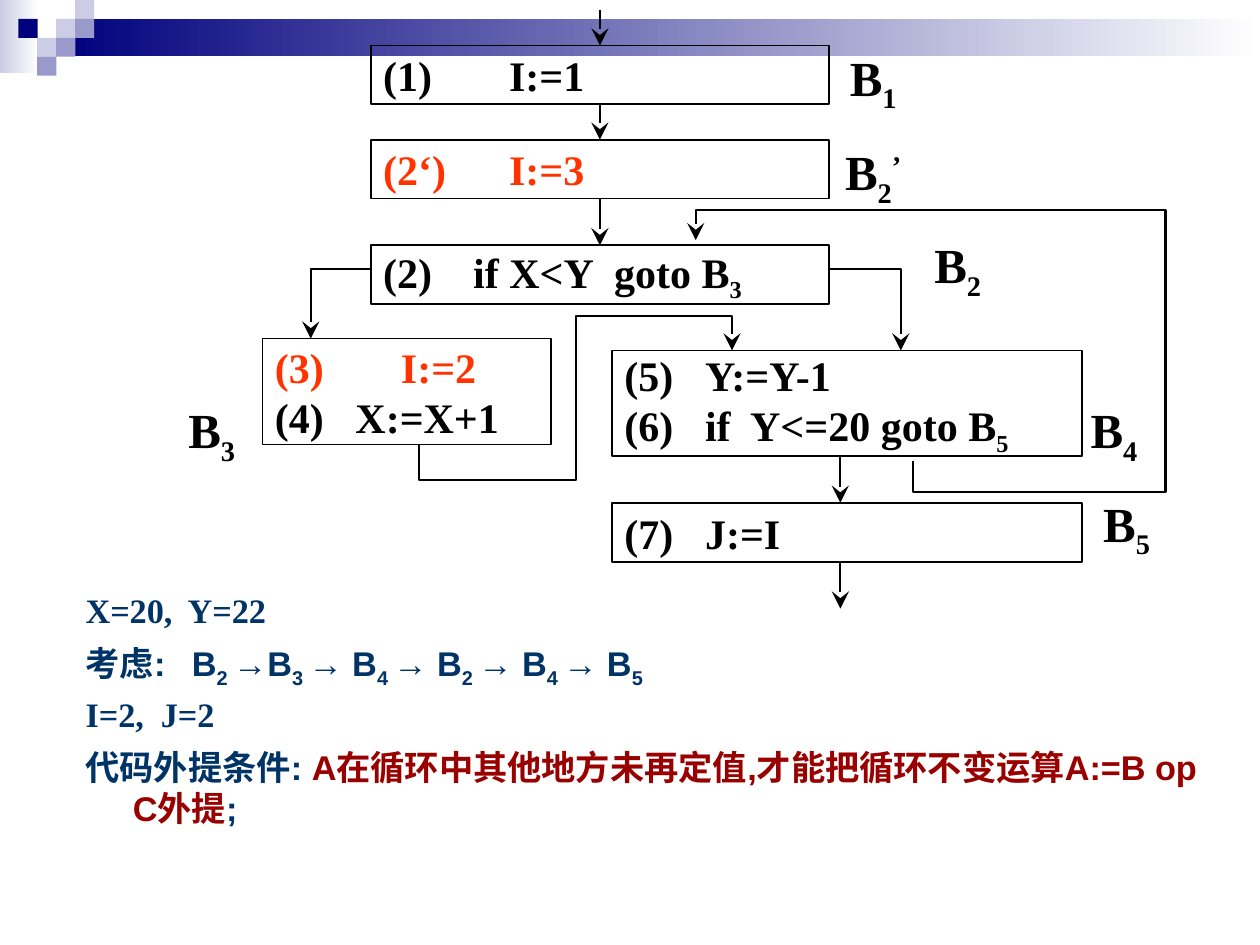
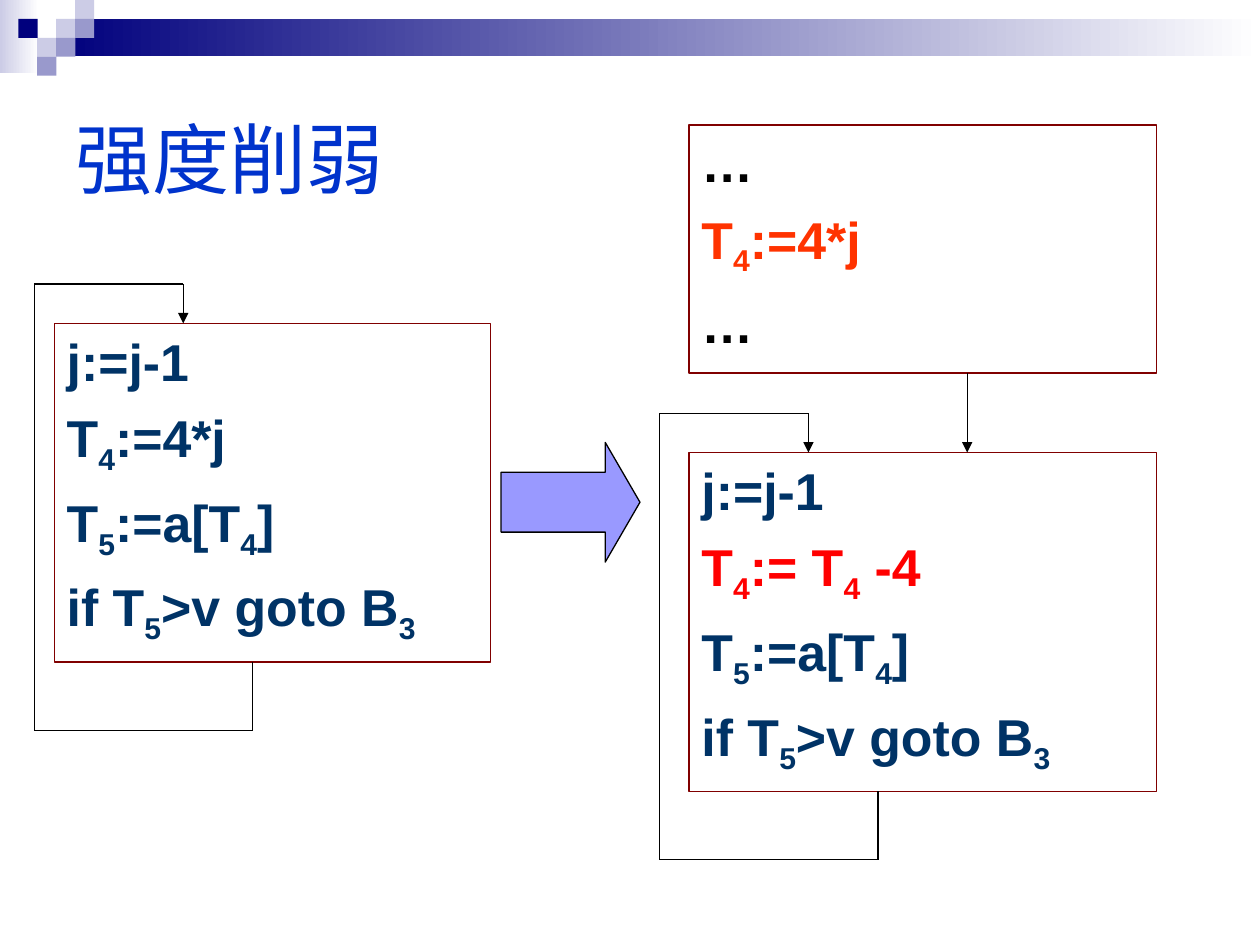
from dataclasses import dataclass
from itertools import pairwise
from typing import Optional, Sequence

from lxml.etree import SubElement
from pptx import Presentation
from pptx.dml.color import RGBColor
from pptx.enum.shapes import MSO_CONNECTOR as Link, MSO_SHAPE as Preset
from pptx.enum.text import MSO_ANCHOR as Anchor, PP_ALIGN as Align
from pptx.oxml.ns import qn
from pptx.shapes.autoshape import Shape
from pptx.shapes.connector import Connector
from pptx.slide import Slide
from pptx.util import Pt

BLACK = RGBColor(0x00, 0x00, 0x00)
WHITE = RGBColor(0xFF, 0xFF, 0xFF)
NAVY = RGBColor(0x00, 0x00, 0x7D)
LAVENDER = RGBColor(0xCC, 0xCC, 0xE6)
PERIWINKLE = RGBColor(0x99, 0x99, 0xCC)
ARROW_BLUE = RGBColor(0x99, 0x99, 0xFF)
TITLE_BLUE = RGBColor(0x00, 0x33, 0xCC)
TEXT_BLUE = RGBColor(0x00, 0x33, 0x66)
ORANGE = RGBColor(0xFF, 0x33, 0x00)
RED = RGBColor(0xFF, 0x00, 0x00)
DARK_RED = RGBColor(0x99, 0x00, 0x00)
MAROON = RGBColor(0x80, 0x00, 0x00)
SERIF, SANS = "Times New Roman", "Arial"

Point = tuple[float, float]


@dataclass(frozen=True)
class Area:
    left: float
    top: float
    width: float
    height: float

    def lengths(self) -> list[Pt]:
        return [Pt(n) for n in (self.left, self.top, self.width, self.height)]


@dataclass(frozen=True)
class Line:
    text: str
    colour: RGBColor = BLACK
    tabs: Sequence[float] = ()
    font: Optional[str] = None
    spacing: Optional[float] = None
    hanging: float = 0
    more: Sequence[tuple[str, RGBColor]] = ()


@dataclass(frozen=True)
class Block:
    area: Area
    lines: Sequence[Line]
    label: str
    label_at: Point


@dataclass(frozen=True)
class Tile:
    column: int
    row: int
    colour: RGBColor


TILE = 10.8
TILES = (
    Tile(2, 1, LAVENDER), Tile(3, 0, LAVENDER), Tile(3, 1, PERIWINKLE),
    Tile(1, 2, LAVENDER), Tile(0, 1, NAVY), Tile(2, 2, PERIWINKLE),
    Tile(1, 3, PERIWINKLE),
)

BLOCKS = (
    Block(Area(211.8, 26, 262, 33.6), [Line("(1)\tI:=1", tabs=[72])], "B~1", (480.2, 26)),
    Block(Area(211.8, 79.8, 262, 33.6), [Line("(2‘)\tI:=3", ORANGE, [72])],
          "B~2~~^’", (480.2, 80)),
    Block(Area(211.8, 140.2, 262, 33.6),
          [Line("(2)\tif X<Y\tgoto B~3", tabs=[51.5, 132])], "B~2", (528.5, 133.2)),
    Block(Area(150, 193.5, 165, 60.5),
          [Line("(3)\tI:=2", ORANGE, [72]), Line("(4)\tX:=X+1", tabs=[46])],
          "B~3", (102.2, 227.5)),
    Block(Area(349.8, 200.3, 268.5, 60.5),
          [Line("(5)\tY:=Y-1", tabs=[46]),
           Line("(6)\tif\tY<=20 goto B~5", tabs=[46, 71.8])], "B~4", (617.8, 227.5)),
    Block(Area(349.8, 287.3, 268.5, 33.8), [Line("(7)\tJ:=I", tabs=[46])],
          "B~5", (625, 280.8)),
)

JUMPS = (
    [(211.8, 153.5), (177.6, 153.5), (177.6, 193.5)],
    [(473.8, 153.5), (514.8, 153.5), (514.8, 200.3)],
    [(521.5, 263.3), (521.5, 281), (666, 281), (666, 120), (397.6, 120), (397.6, 137.3)],
    [(239.5, 254), (239.5, 274.2), (329, 274.2), (329, 180.5), (418.3, 180.5),
     (418.3, 200.3)],
)

NOTES = (
    Line("X=20,\tY=22", TEXT_BLUE, [58.3], spacing=0.8),
    Line("考虑:\tB~2 ~→B~3 ~→ B~4 ~→ B~2 ~→ B~4 ~→ B~5", TEXT_BLUE, [60.8], SANS),
    Line("I=2,\tJ=2", TEXT_BLUE, [43], spacing=0.8),
    Line("代码外提条件: ", TEXT_BLUE, font=SANS, hanging=27,
         more=[("A在循环中其他地方未再定值,才能把循环不变运算A:=B op C外提", DARK_RED),
               (";", TEXT_BLUE)]),
)


def loop_body(product: str, colour: RGBColor) -> list[Line]:
    return [Line("j:=j-1", TEXT_BLUE), Line(product, colour),
            Line("T~5~:=a[T~4~]", TEXT_BLUE), Line("if T~5~>v goto B~3", TEXT_BLUE)]


def write(shape: Shape, lines: Sequence[Line], *, size: float, font: str = SERIF,
          bold: bool = True, align: Align = Align.LEFT, anchor: Anchor = Anchor.MIDDLE,
          before: float = 0, side: float = 7.2) -> None:
    frame = shape.text_frame
    frame.word_wrap = True
    frame.vertical_anchor = anchor
    frame.margin_left = frame.margin_right = Pt(side)
    frame.margin_top = frame.margin_bottom = Pt(3.6)
    for index, line in enumerate(lines):
        paragraph = frame.add_paragraph() if index else frame.paragraphs[0]
        properties = paragraph._p.get_or_add_pPr()
        if line.hanging:
            properties.set("marL", str(Pt(line.hanging)))
            properties.set("indent", str(-Pt(line.hanging)))
        if line.tabs:
            stops = SubElement(properties, qn("a:tabLst"))
            for stop in line.tabs:
                SubElement(stops, qn("a:tab"), pos=str(Pt(stop)), algn="l")
        paragraph.alignment = align
        if line.spacing:
            paragraph.line_spacing = line.spacing
        if index and before:
            paragraph.space_before = Pt(before)
        for text, colour in [(line.text, line.colour), *line.more]:
            for position, part in enumerate(text.split("~")):
                if not part:
                    continue
                run = paragraph.add_run()
                run.text = part.lstrip("^")
                run.font.size, run.font.bold = Pt(size), bold
                run.font.name = line.font or font
                run.font.color.rgb = colour
                if position % 2:
                    baseline = "30000" if part.startswith("^") else "-25000"
                    run._r.get_or_add_rPr().set("baseline", baseline)


def add_preset(slide: Slide, area: Area, *, kind: Preset = Preset.RECTANGLE,
               fill: Optional[RGBColor] = None, fade: bool = False,
               outline: Optional[RGBColor] = None, weight: float = 0.75) -> Shape:
    shape = slide.shapes.add_shape(kind, *area.lengths())
    shape.shadow.inherit = False
    if fade:
        shape.fill.gradient()
        shape.fill.gradient_angle = 0
        for stop, colour in zip(shape.fill.gradient_stops, (fill, WHITE)):
            stop.color.rgb = colour
    elif fill is not None:
        shape.fill.solid()
        shape.fill.fore_color.rgb = fill
    else:
        shape.fill.background()
    if outline is None:
        shape.line.fill.background()
    else:
        shape.line.color.rgb = outline
        shape.line.width = Pt(weight)
    return shape


def add_text(slide: Slide, area: Area, lines: Sequence[Line], **style) -> None:
    write(slide.shapes.add_textbox(*area.lengths()), lines, **style)


def ink(stroke: Shape | Connector, weight: float, head: Optional[str]) -> None:
    stroke.line.color.rgb = BLACK
    stroke.line.width = Pt(weight)
    if head:
        extent = "lg" if head == "stealth" else "med"
        SubElement(stroke.element.spPr.get_or_add_ln(), qn("a:tailEnd"),
                   type=head, w=extent, len=extent)


def add_link(slide: Slide, start: Point, end: Point, *, weight: float = 0.75,
             head: Optional[str] = None) -> Connector:
    ends = [Pt(n) for n in (*start, *end)]
    link = slide.shapes.add_connector(Link.STRAIGHT, *ends)
    ink(link, weight, head)
    SubElement(link.element.spPr, qn("a:effectLst"))
    return link


def add_jump(slide: Slide, route: Sequence[Point]) -> None:
    start, *rest = [(Pt(x), Pt(y)) for x, y in route]
    builder = slide.shapes.build_freeform(*start)
    builder.add_line_segments(rest, close=False)
    jump = builder.convert_to_shape()
    jump.shadow.inherit = False
    jump.fill.background()
    ink(jump, 1.25, "stealth")


def add_loop(slide: Slide, left: float, box: Area) -> None:
    top, bottom = box.top - 22.5, box.top + box.height + 39
    route = [(left + 124.7, box.top + box.height), (left + 124.7, bottom),
             (left, bottom), (left, top), (left + 85, top), (left + 85, box.top)]
    for start, end in pairwise(route):
        add_link(slide, start, end, head="triangle" if end == route[-1] else None)


def add_band(slide: Slide) -> None:
    add_preset(slide, Area(0, 0, 22.3, 41.8), fill=LAVENDER, fade=True)
    add_preset(slide, Area(32.4, 10.8, 687.6, 21.3), fill=NAVY, fade=True)
    for tile in TILES:
        area = Area(10.5 + tile.column * TILE, tile.row * TILE, 11, TILE)
        add_preset(slide, area, fill=tile.colour)


def build_flow_graph(slide: Slide) -> None:
    add_band(slide)
    boxes = []
    for block in BLOCKS:
        box = add_preset(slide, block.area, outline=BLACK, weight=1)
        write(box, block.lines, size=24)
        boxes.append(box)
        add_text(slide, Area(*block.label_at, 37.5, 40.3), [Line(block.label)],
                 size=28, align=Align.CENTER, side=0)

    entry, hoisted, test = (block.area for block in BLOCKS[:3])
    middle = entry.left + entry.width / 2
    tops = [area.top for area in (entry, hoisted, test)]
    starts = [5.6, entry.top + entry.height, hoisted.top + hoisted.height]
    for index, (start, end) in enumerate(zip(starts, tops)):
        link = add_link(slide, (middle, start), (middle, end), weight=1.25, head="stealth")
        if index:
            link.begin_connect(boxes[index - 1], 2)
        link.end_connect(boxes[index], 0)
    for start, end in ((260.8, 287.3), (321.1, 347.8)):
        add_link(slide, (480.2, start), (480.2, end), weight=1.25, head="stealth")
    for route in JUMPS:
        add_jump(slide, route)
    add_text(slide, Area(41.8, 337.7, 666, 156.2), NOTES, size=19.6,
             anchor=Anchor.TOP, before=7)


def build_strength_reduction(slide: Slide) -> None:
    add_band(slide)
    add_text(slide, Area(36, 36, 648, 108), [Line("强度削弱", TITLE_BLUE)],
             size=44, font=SANS, bold=False)
    before = Area(31, 184.8, 249.3, 193.6)
    after = Area(393.8, 258.6, 267.3, 193.6)
    preheader = Area(393.8, 71.4, 267.3, 141.8)
    code = (
        (before, loop_body("T~4~:=4*j", TEXT_BLUE)),
        (after, loop_body("T~4~:= T~4~ -4", RED)),
        (preheader, [Line("…"), Line("T~4~:=4*j", ORANGE), Line("…")]),
    )
    for area, lines in code:
        box = add_preset(slide, area, outline=MAROON)
        write(box, lines, size=29.6, font=SANS, anchor=Anchor.TOP, before=8)
    add_link(slide, (552.7, preheader.top + preheader.height), (552.7, after.top),
             head="triangle")
    add_loop(slide, 19.7, before)
    add_loop(slide, 377, after)
    arrow = add_preset(slide, Area(286.3, 252.8, 79.4, 68.4), kind=Preset.RIGHT_ARROW,
                       fill=ARROW_BLUE, outline=BLACK)
    arrow.adjustments[0], arrow.adjustments[1] = 0.5, 0.29


def main() -> None:
    deck = Presentation()
    deck.slide_width, deck.slide_height = Pt(720), Pt(540)
    for build in (build_flow_graph, build_strength_reduction):
        build(deck.slides.add_slide(deck.slide_layouts[6]))
    deck.save("out.pptx")


if __name__ == "__main__":
    main()
